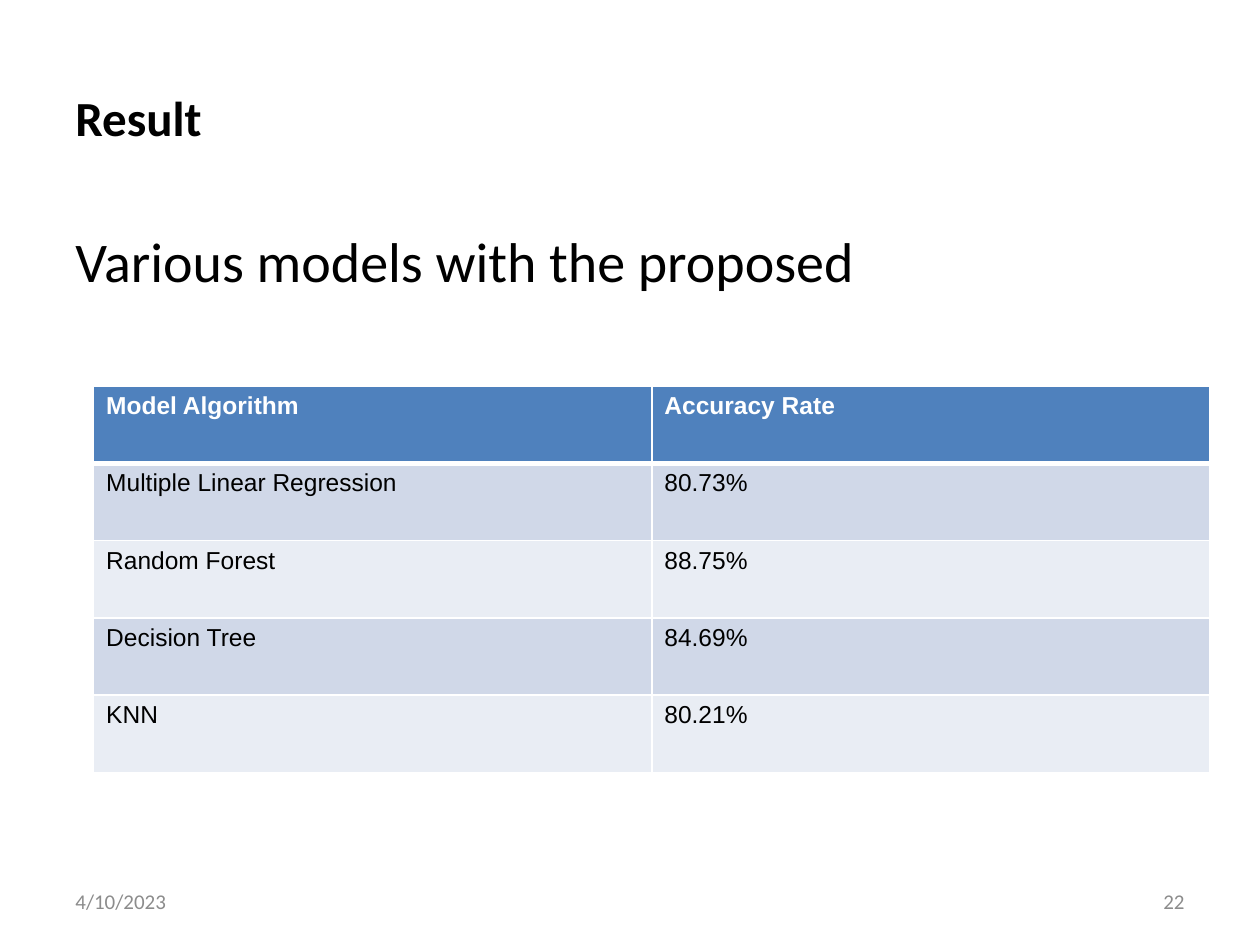
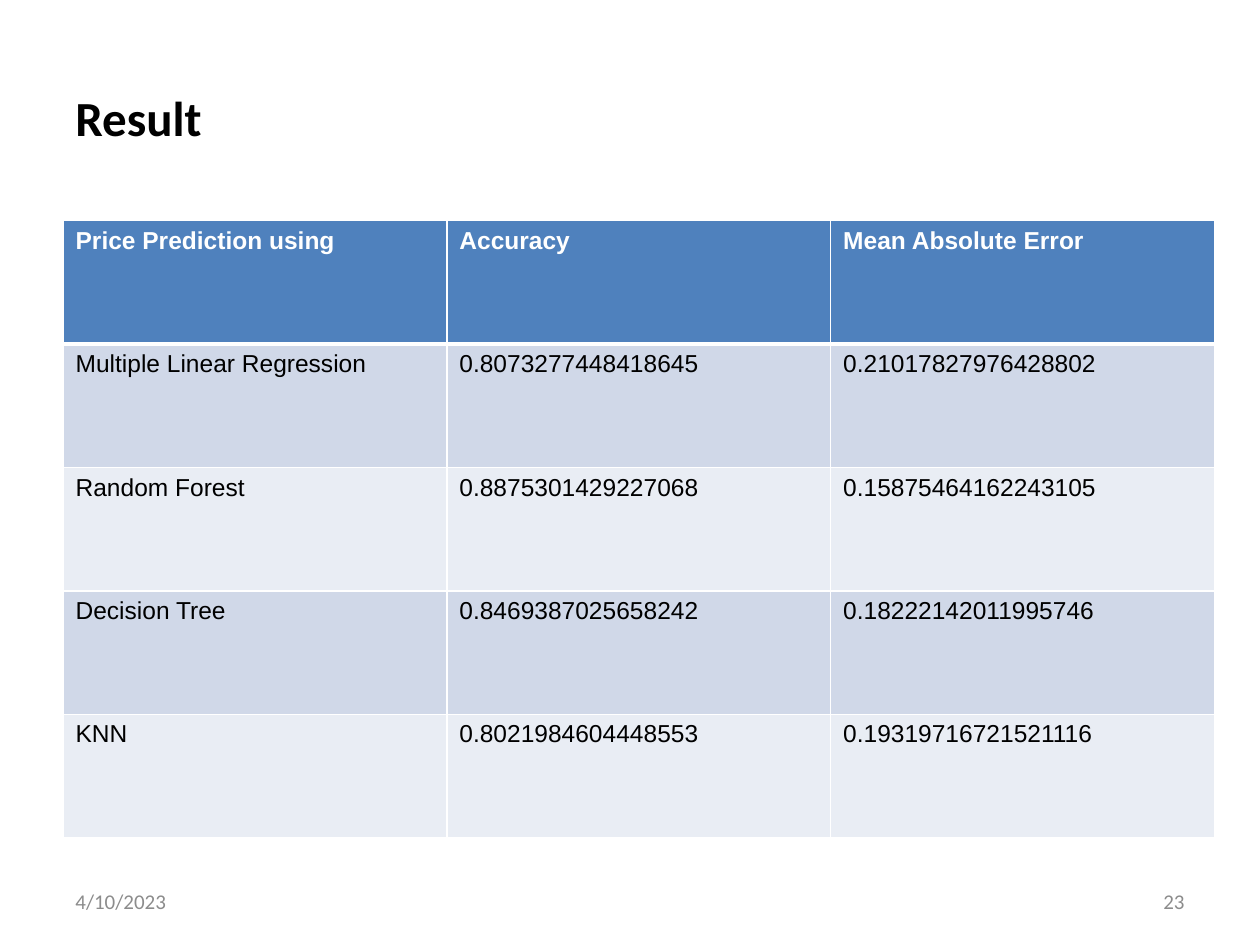
import pptx
import pptx.dml.color
import pptx.enum.text
import pptx.oxml.ns
import pptx.util
import lxml.etree

Pt = pptx.util.Pt
RGBColor = pptx.dml.color.RGBColor
ANCHOR = pptx.enum.text.MSO_ANCHOR
ALIGN = pptx.enum.text.PP_ALIGN

BLACK = RGBColor(0x00, 0x00, 0x00)
WHITE = RGBColor(0xFF, 0xFF, 0xFF)
FOOTER_GRAY = RGBColor(0x8C, 0x8C, 0x8C)
HEADER_BLUE = RGBColor(0x4F, 0x81, 0xBD)
BANDS = [RGBColor(0xE9, 0xED, 0xF4), RGBColor(0xD0, 0xD8, 0xE8)]

MODELS = ["Multiple Linear Regression", "Random Forest", "Decision Tree", "KNN"]
RATES = ["80.73%", "88.75%", "84.69%", "80.21%"]
ACCURACIES = ["0.8073277448418645", "0.8875301429227068",
              "0.8469387025658242", "0.8021984604448553"]
ERRORS = ["0.21017827976428802", "0.15875464162243105",
          "0.18222142011995746", "0.19319716721521116"]

# Each result: page number, subtitle, table left, top, width, height, rows
RESULTS = [
    ("22", "Various models with the proposed", 53.5, 220.5, 638, 221,
     [("Model Algorithm", "Accuracy Rate"), *zip(MODELS, RATES)]),
    ("23", None, 36, 126, 658, 352.8,
     [("Price Prediction using", "Accuracy", "Mean Absolute Error"),
      *zip(MODELS, ACCURACIES, ERRORS)]),
]


def add_text(slide, text, left, top, width, height, size, color,
             bold=False, anchor=ANCHOR.MIDDLE, align=ALIGN.LEFT, space_before=0):
    shape = slide.shapes.add_textbox(Pt(left), Pt(top), Pt(width), Pt(height))
    shape.text_frame.word_wrap = True
    shape.text_frame.vertical_anchor = anchor
    paragraph = shape.text_frame.paragraphs[0]
    paragraph.alignment = align
    paragraph.space_before = Pt(space_before)
    run = paragraph.add_run()
    run.text = text
    run.font.name = "Calibri"
    run.font.size = Pt(size)
    run.font.bold = bold
    run.font.color.rgb = color


def add_border(cell, side, width):
    properties = cell._tc.get_or_add_tcPr()
    line = lxml.etree.SubElement(properties, pptx.oxml.ns.qn("a:ln" + side), w=str(Pt(width)))
    fill = lxml.etree.SubElement(line, pptx.oxml.ns.qn("a:solidFill"))
    lxml.etree.SubElement(fill, pptx.oxml.ns.qn("a:srgbClr"), val=str(WHITE))


presentation = pptx.Presentation()
presentation.slide_width = Pt(720)
presentation.slide_height = Pt(540)

for page, subtitle, left, top, width, height, rows in RESULTS:
    slide = presentation.slides.add_slide(presentation.slide_layouts[6])

    # Title, subtitle and footer
    add_text(slide, "Result", 36, 21.6, 648, 90, 28, BLACK, bold=True)
    if subtitle:
        add_text(slide, subtitle, 36, 126, 648, 356.4, 32, BLACK,
                 anchor=ANCHOR.TOP, space_before=6.4)
    add_text(slide, "4/10/2023", 36, 500.5, 168, 28.75, 12, FOOTER_GRAY)
    add_text(slide, page, 516, 500.5, 168, 28.75, 12, FOOTER_GRAY, align=ALIGN.RIGHT)

    # Results table: blue header over banded rows
    table = slide.shapes.add_table(len(rows), len(rows[0]), Pt(left), Pt(top),
                                   Pt(width), Pt(height)).table
    for row_index, row in enumerate(rows):
        is_header = row_index == 0
        for column_index, text in enumerate(row):
            cell = table.cell(row_index, column_index)
            add_border(cell, "L", 1)
            add_border(cell, "R", 1)
            add_border(cell, "T", 3 if row_index == 1 else 1)
            add_border(cell, "B", 3 if is_header else 1)
            cell.fill.solid()
            cell.fill.fore_color.rgb = HEADER_BLUE if is_header else BANDS[row_index % 2]
            run = cell.text_frame.paragraphs[0].add_run()
            run.text = text
            run.font.name = "Arial"
            run.font.size = Pt(14)
            run.font.bold = is_header
            run.font.color.rgb = WHITE if is_header else BLACK

presentation.save("out.pptx")
